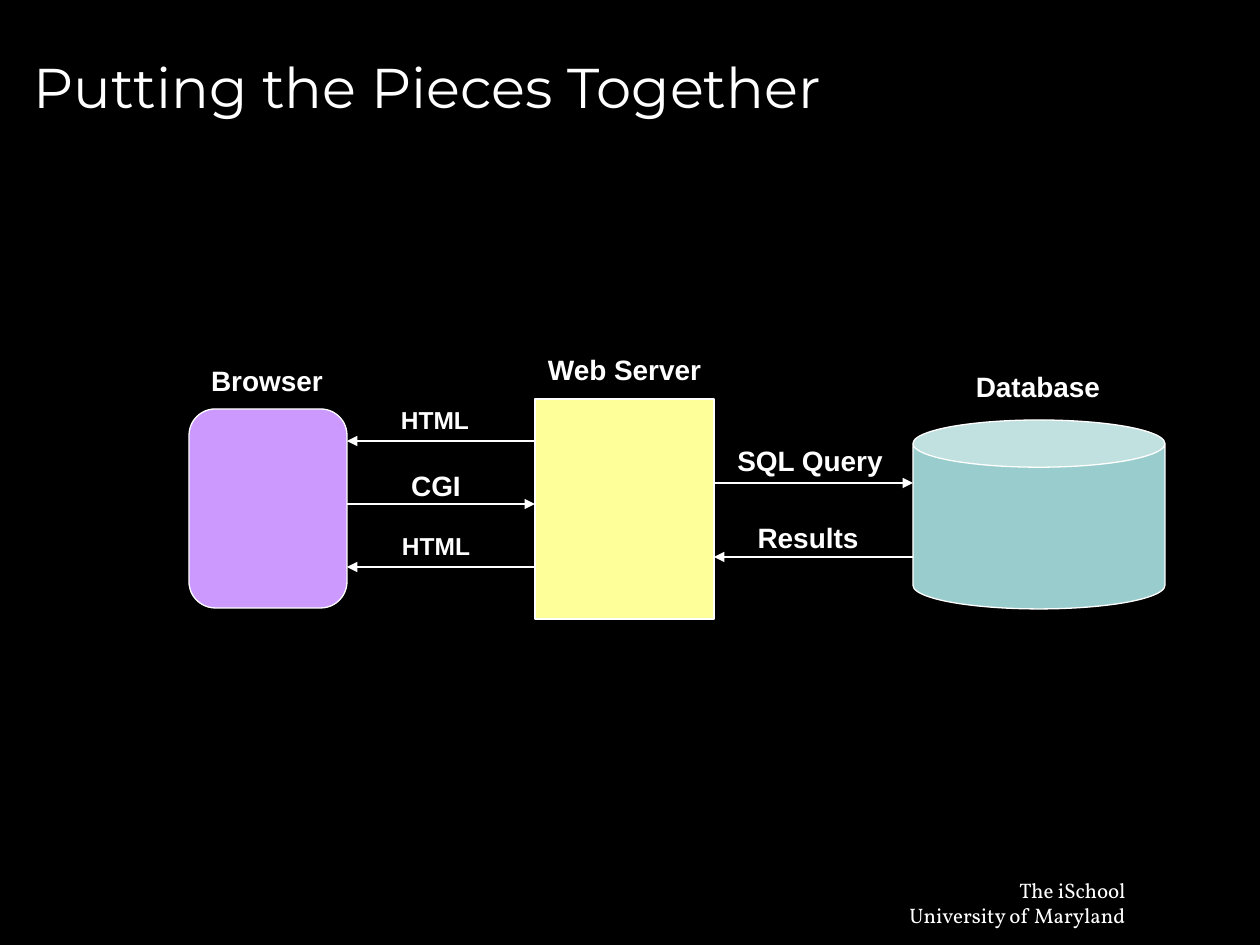
import pptx
import pptx.util
import pptx.dml.color
import pptx.enum.shapes
import pptx.enum.text
import pptx.oxml.ns
import lxml.etree

RGB = pptx.dml.color.RGBColor
SHAPE = pptx.enum.shapes.MSO_SHAPE
ALIGN = pptx.enum.text.PP_ALIGN
ANCHOR = pptx.enum.text.MSO_ANCHOR
AUTO_SIZE = pptx.enum.text.MSO_AUTO_SIZE

BLACK = RGB(0x00, 0x00, 0x00)
WHITE = RGB(0xFF, 0xFF, 0xFF)
PURPLE = RGB(0xCC, 0x99, 0xFF)
YELLOW = RGB(0xFF, 0xFF, 0x99)
TEAL = RGB(0x99, 0xCC, 0xCC)

TITLE = "Putting the Pieces Together"
FOOTER = ["The iSchool", "University of Maryland"]

# shape, fill, (left, top, width, height)
NODES = {
    "database": (SHAPE.CAN, TEAL, (913, 420, 252, 189)),
    "browser": (SHAPE.ROUNDED_RECTANGLE, PURPLE, (189, 409, 158, 199)),
    "server": (SHAPE.RECTANGLE, YELLOW, (535, 399, 179, 220)),
}
# text, (left, top, width, height), point size
LABELS = [
    ("Web Server", (534, 346, 181, 47), 16),
    ("Browser", (197, 357, 140, 47), 16),
    ("Database", (962, 363, 152, 47), 16),
    ("HTML", (387, 399, 96, 43), 14),
    ("CGI", (397, 462, 78, 47), 16),
    ("HTML", (388, 525, 96, 43), 14),
    ("SQL Query", (723, 437, 174, 47), 16),
    ("Results", (743, 514, 130, 47), 16),
]
# source, target, height on the slide
ARROWS = [
    ("server", "browser", 441),
    ("browser", "server", 504),
    ("server", "browser", 567),
    ("server", "database", 483),
    ("database", "server", 557),
]


def px(n):
    return pptx.util.Emu(round(n * 914400 / 126))


def add_run(p, text, font, size, bold=False):
    r = p.add_run()
    r.text = text
    r.font.name = font
    r.font.size = pptx.util.Pt(size)
    r.font.bold = bold
    r.font.color.rgb = WHITE


def add_text(s, lines, box, font, size, bold, align):
    tf = s.shapes.add_textbox(*map(px, box)).text_frame
    tf.word_wrap = False
    tf.auto_size = AUTO_SIZE.SHAPE_TO_FIT_TEXT
    for i, line in enumerate(lines):
        p = tf.add_paragraph() if i else tf.paragraphs[0]
        p.alignment = align
        add_run(p, line, font, size, bold)


def outline(line):
    line.color.rgb = WHITE
    line.width = pptx.util.Pt(0.75)


def add_node(s, kind, fill, box):
    sp = s.shapes.add_shape(kind, *map(px, box))
    sp.shadow.inherit = False
    sp.fill.solid()
    sp.fill.fore_color.rgb = fill
    outline(sp.line)


def add_arrow(s, source, target, y):
    """Join the facing edges of two nodes, with the head at the target."""
    (x1, _, w1, _), (x2, _, w2, _) = NODES[source][2], NODES[target][2]
    start, end = (x1 + w1, x2) if x1 < x2 else (x1, x2 + w2)
    c = s.shapes.add_connector(pptx.enum.shapes.MSO_CONNECTOR.STRAIGHT,
                               px(start), px(y), px(end), px(y))
    outline(c.line)
    qn = pptx.oxml.ns.qn
    props = c._element.spPr
    lxml.etree.SubElement(props.find(qn("a:ln")), qn("a:tailEnd"), type="triangle")
    lxml.etree.SubElement(props, qn("a:effectLst"))


def main():
    prs = pptx.Presentation()
    prs.slide_width, prs.slide_height = px(1260), px(945)
    s = prs.slides.add_slide(prs.slide_layouts[5])
    s.background.fill.solid()
    s.background.fill.fore_color.rgb = BLACK

    title = s.shapes.title
    title.left, title.top, title.width, title.height = map(px, (21, 16, 1197, 141))
    tf = title.text_frame
    tf.vertical_anchor = ANCHOR.MIDDLE
    p = tf.paragraphs[0]
    p.alignment = ALIGN.LEFT
    add_run(p, TITLE, "Montserrat", 32)

    add_text(s, FOOTER, (893, 871, 245, 63), "Vollkorn", 12, False, ALIGN.RIGHT)
    for node in NODES.values():
        add_node(s, *node)
    for arrow in ARROWS:
        add_arrow(s, *arrow)
    for text, box, size in LABELS:
        add_text(s, [text], box, "Arial", size, True, ALIGN.CENTER)

    prs.save("out.pptx")


if __name__ == "__main__":
    main()
